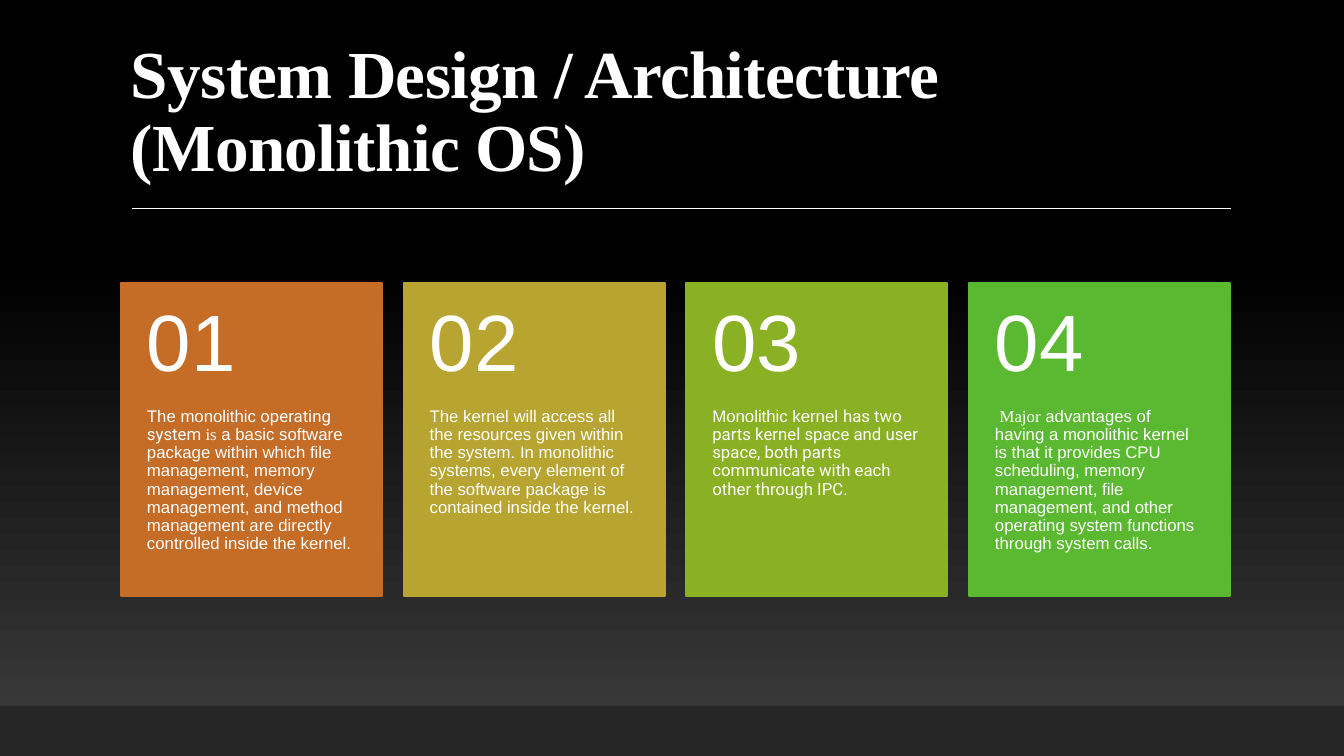
from pptx import Presentation
from pptx.dml.color import RGBColor
from pptx.enum.shapes import MSO_CONNECTOR, MSO_SHAPE
from pptx.enum.text import MSO_ANCHOR as ANCHOR
from pptx.oxml.ns import qn
from pptx.util import Pt
from lxml.etree import SubElement

SCALE = 914400 / 100.8
WIDTH, HEIGHT = 1344, 756

WHITE = RGBColor(0xFF, 0xFF, 0xFF)
BLACK = RGBColor(0x00, 0x00, 0x00)
CHARCOAL = RGBColor(0x3E, 0x3E, 0x3E)
FOOTER = RGBColor(0x26, 0x26, 0x26)
RUST = RGBColor(0xC5, 0x6C, 0x27)
MUSTARD = RGBColor(0xB8, 0xA4, 0x31)
OLIVE = RGBColor(0x8A, 0xB0, 0x23)
GREEN = RGBColor(0x5B, 0xB9, 0x31)

ARIAL, ROBOTO, TIMES = "Arial", "Roboto", "Times New Roman"
TITLE_STYLE = {"size": Pt(48), "bold": True}
NUMBER_STYLE = {"size": Pt(57)}
BODY_STYLE = {"size": Pt(12)}

CARDS = [
    (RUST, [
        (ARIAL, "The monolithic"),
        (ROBOTO, " operating system"),
        (TIMES, " is"),
        (ARIAL, " a basic software package within which file management, memory "
                "management, device management, and method management are directly "
                "controlled inside the kernel."),
    ]),
    (MUSTARD, [
        (ARIAL, "The kernel will access all the resources given within the system. "
                "In monolithic systems, every element of the software package is "
                "contained inside the kernel."),
    ]),
    (OLIVE, [
        (ARIAL, "Monolithic kernel "),
        (ROBOTO, "has two parts kernel space and user space, both parts "
                 "communicate with each other through IPC."),
    ]),
    (GREEN, [
        (ARIAL, " "),
        (TIMES, "Major"),
        (ARIAL, " advantages of having a monolithic kernel is that it provides CPU "
                "scheduling, memory management, file management, and other operating "
                "system functions through system calls."),
    ]),
]


def px(length):
    return round(length * SCALE)


def set_all(target, values):
    for name, value in values.items():
        setattr(target, name, value)


def fade(fill):
    fill.gradient()
    fill.gradient_angle = 270
    for stop, position, color in zip(fill.gradient_stops, (0.35, 1), (BLACK, CHARCOAL)):
        stop.position = position
        stop.color.rgb = color


def add_panel(shapes, box, color=None, line_width=None):
    panel = shapes.add_shape(MSO_SHAPE.RECTANGLE, *map(px, box))
    panel.shadow.inherit = False
    if color is None:
        fade(panel.fill)
    else:
        panel.fill.solid()
        panel.fill.fore_color.rgb = color
    if line_width is None:
        panel.line.fill.background()
    else:
        panel.line.color.rgb = color
        panel.line.width = line_width


def add_text(shapes, box, spans, style, anchor, insets):
    frame = shapes.add_textbox(*map(px, box)).text_frame
    left, top, right, bottom = map(px, insets)
    set_all(frame, {"word_wrap": True, "vertical_anchor": anchor,
                    "margin_left": left, "margin_top": top,
                    "margin_right": right, "margin_bottom": bottom})
    para = frame.paragraphs[0]
    para.line_spacing = 0.9
    for font_name, text in spans:
        span = para.add_run()
        span.text = text
        set_all(span.font, {"name": font_name, **style})
        span.font.color.rgb = WHITE
    return para


def add_backdrop(page, box):
    left, top, width, height = box
    footer_height = 50
    fade(page.background.fill)
    add_panel(page.shapes, box)
    add_panel(page.shapes, (left, top + height - footer_height, width, footer_height), FOOTER)


def add_heading(page, box):
    left, top, width, height = box
    para = add_text(page.shapes, box, [(TIMES, "System Design / Architecture (Monolithic OS)")],
                    TITLE_STYLE, ANCHOR.BOTTOM, (10, 5, 10, 5))
    para.runs[0].font._element.set("spc", "-50")
    rule_y = px(top + height + 18)
    rule = page.shapes.add_connector(MSO_CONNECTOR.STRAIGHT, px(left + 11), rule_y,
                                     px(left + width + 1), rule_y)
    rule.line.color.rgb = WHITE
    rule.line.width = Pt(0.75)
    SubElement(rule._element.spPr, qn("a:effectLst"))


def add_card(page, box, number, color, spans):
    left, top, width, height = box
    number_height = 125
    shapes = page.shapes.add_group_shape().shapes
    add_panel(shapes, box, color, Pt(1.25))
    add_text(shapes, (left, top + number_height, width, height - number_height),
             spans, BODY_STYLE, ANCHOR.TOP, (26, 0, 26, 36))
    add_text(shapes, (left, top, width, number_height), [(ARIAL, f"{number:02}")],
             NUMBER_STYLE, ANCHOR.MIDDLE, (26, 18, 26, 18))


def add_cards(page, box):
    left, top, width, height = box
    card_width = 261
    step = (width - card_width) / (len(CARDS) - 1)
    for index, (color, spans) in enumerate(CARDS):
        add_card(page, (left + index * step, top, card_width, height), index + 1, color, spans)


def main():
    deck = Presentation()
    deck.slide_width, deck.slide_height = px(WIDTH), px(HEIGHT)
    page = deck.slides.add_slide(deck.slide_layouts[6])
    add_backdrop(page, (0, 0, WIDTH, HEIGHT))
    add_heading(page, (121, 31, 1109, 160))
    add_cards(page, (121, 283, 1109, 313))
    deck.save("out.pptx")


if __name__ == "__main__":
    main()
